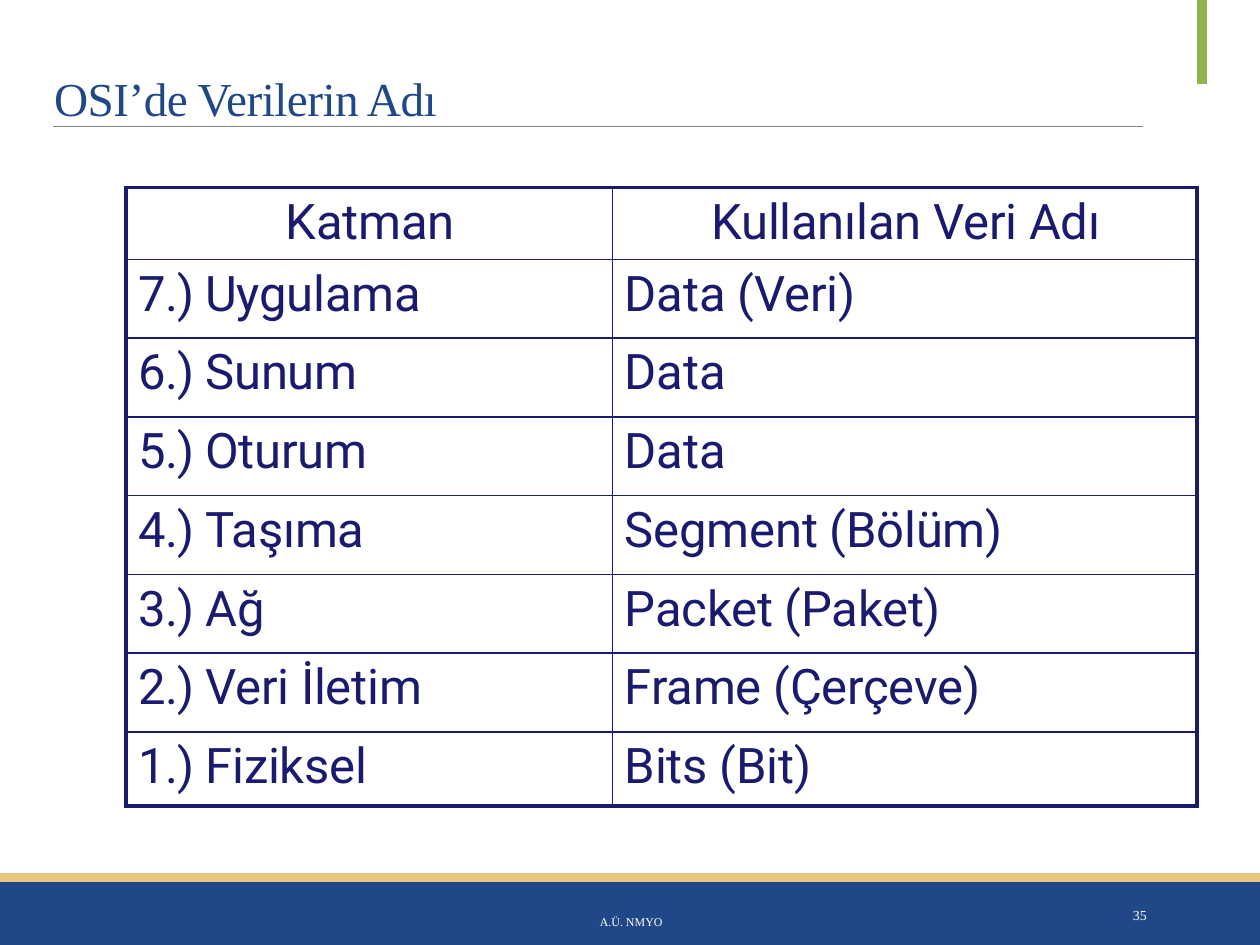
from lxml import etree
from pptx import Presentation
from pptx.dml.color import RGBColor
from pptx.enum.shapes import MSO_CONNECTOR, MSO_SHAPE
from pptx.enum.text import MSO_ANCHOR, MSO_AUTO_SIZE, PP_ALIGN
from pptx.oxml.ns import qn
from pptx.util import Inches, Pt

LEFT, CENTER, RIGHT = PP_ALIGN.LEFT, PP_ALIGN.CENTER, PP_ALIGN.RIGHT
TOP, MIDDLE, BOTTOM = MSO_ANCHOR.TOP, MSO_ANCHOR.MIDDLE, MSO_ANCHOR.BOTTOM
RECTANGLE, STRAIGHT = MSO_SHAPE.RECTANGLE, MSO_CONNECTOR.STRAIGHT
NO_AUTO_SIZE = MSO_AUTO_SIZE.NONE
TITLE_ONLY_LAYOUT = 5

SERIF, SANS = "Times New Roman", "Roboto"
BLUE, GOLD, GREEN, GRAY = "204788", "E5C77D", "90B54D", "808080"
NAVY, WHITE = "1A1A6F", "FFFFFF"
THICK, THIN = 2.25, 1

HEADINGS = ("Katman", "Kullanılan Veri Adı")
LAYERS = (
    ("7.) ", "Uygulama", "Data (Veri)"),
    ("6.) ", "Sunum", "Data"),
    ("5.) ", "Oturum", "Data"),
    ("4.) ", "Taşıma", "Segment (Bölüm)"),
    ("3.) ", "Ağ", "Packet (Paket)"),
    ("2.) ", "Veri İletim", "Frame (Çerçeve)"),
    ("1.) ", "Fiziksel", "Bits (Bit)"),
)


def color(value):
    """Return the colour for a hex string."""
    return RGBColor.from_string(value)


def add_text(paragraph, text, *, size, font, fill, spacing=0, align=LEFT, before=0, line=None):
    """Append a formatted run to a paragraph and set the paragraph's layout."""
    paragraph.alignment = align
    paragraph.space_before = Pt(before)
    if line:
        paragraph.line_spacing = Pt(line)
    run = paragraph.add_run()
    run.text = text
    run.font.size = Pt(size)
    run.font.name = font
    run.font.color.rgb = color(fill)
    if spacing:
        run.font._element.set("spc", str(round(spacing * 100)))


def set_box(shape, box, anchor, margins):
    """Place a text shape and set its frame."""
    shape.left, shape.top, shape.width, shape.height = map(Inches, box)
    frame = shape.text_frame
    frame.word_wrap = True
    frame.auto_size = NO_AUTO_SIZE
    frame.vertical_anchor = anchor
    frame.margin_left, frame.margin_top, frame.margin_right, frame.margin_bottom = map(Inches, margins)
    return frame.paragraphs[0]


def add_band(slide, box, fill):
    """Add a plain filled rectangle."""
    band = slide.shapes.add_shape(RECTANGLE, *map(Inches, box))
    band.shadow.inherit = False
    band.fill.solid()
    band.fill.fore_color.rgb = color(fill)
    band.line.fill.background()


def add_rule(slide, start, end, fill, width):
    """Add a straight line without a shadow."""
    rule = slide.shapes.add_connector(STRAIGHT, *map(Inches, start + end))
    rule.line.color.rgb = color(fill)
    rule.line.width = Pt(width)
    etree.SubElement(rule._element.spPr, qn("a:effectLst"))


def add_heading(slide, box, title):
    """Fill the title placeholder and draw the rule under it and the corner accent."""
    left, top, width, height = box
    add_rule(slide, (left, top + height), (9.07, top + height), GRAY, 0.5)
    add_rule(slide, (9.54, 0), (9.54, 0.67), GREEN, 6)
    paragraph = set_box(slide.shapes.title, box, BOTTOM, (0.01, 0.01, 0, 0))
    add_text(paragraph, title, size=27, font=SERIF, fill=BLUE, spacing=-0.3, before=1)


def add_footer(slide, box, label, number):
    """Draw the footer bands with the label and the page number."""
    left, top, width, height = box
    add_band(slide, box, BLUE)
    add_band(slide, (left, top - 0.07, width, 0.07), GOLD)
    label_box = slide.shapes.add_textbox(0, 0, 0, 0)
    paragraph = set_box(label_box, (left + 3.03, top + 0.07, 3.96, 0.4), MIDDLE, (0, 0, 0, 0))
    add_text(paragraph, label, size=6.8, font=SERIF, fill=WHITE, align=CENTER, line=14.2)
    number_box = slide.shapes.add_textbox(0, 0, 0, 0)
    paragraph = set_box(number_box, (left + 8.12, top + 0.06, 1.08, 0.4), MIDDLE, (0.1, 0.05, 0.1, 0.05))
    add_text(paragraph, number, size=7.9, font=SERIF, fill=WHITE, align=RIGHT)


def set_borders(cell, widths):
    """Draw the left, right, top and bottom borders of a cell; zero means none."""
    properties = cell._tc.get_or_add_tcPr()
    for position, (side, width) in enumerate(zip(("lnL", "lnR", "lnT", "lnB"), widths)):
        border = etree.Element(qn(f"a:{side}"), w=str(Pt(width)))
        if width:
            fill = etree.SubElement(border, qn("a:solidFill"))
            etree.SubElement(fill, qn("a:srgbClr"), val=NAVY)
        else:
            etree.SubElement(border, qn("a:noFill"))
        properties.insert(position, border)


def set_spacer_row(table, height):
    """Merge the first row into a thin strip that carries the table's top edge."""
    table.rows[0].height = Inches(height)
    for cell in table.rows[0].cells:
        cell.fill.background()
        cell.margin_left = cell.margin_top = cell.margin_right = cell.margin_bottom = 0
        etree.SubElement(cell.text_frame.paragraphs[0]._p, qn("a:endParaRPr"), sz="100")
        set_borders(cell, (0, 0, 0, THICK))
    table.cell(0, 0).merge(table.cell(0, len(HEADINGS) - 1))


def add_layer_table(slide, box):
    """Add the table of layers and their data names."""
    row_count, column_count = len(LAYERS) + 2, len(HEADINGS)
    table = slide.shapes.add_table(row_count, column_count, *map(Inches, box)).table
    table.horz_banding = table.first_row = False
    table.columns[0].width = Inches(3.86)
    table.columns[1].width = Inches(box[2] - 3.86)
    spacer_height, header_height, last_height = 0.07, 0.57, 0.59
    body_count = len(LAYERS) - 1
    body_height = (box[3] - spacer_height - header_height - last_height) / body_count
    heights = [header_height] + [body_height] * body_count + [last_height]
    rows = [[(heading,) for heading in HEADINGS]]
    rows += [[(number, layer), (data,)] for number, layer, data in LAYERS]
    set_spacer_row(table, spacer_height)

    for row_index, (row, height) in enumerate(zip(rows, heights), start=1):
        table.rows[row_index].height = Inches(height)
        is_header = row_index == 1
        for column_index, parts in enumerate(row):
            cell = table.cell(row_index, column_index)
            cell.fill.background()
            cell.vertical_anchor = TOP
            cell.margin_left = Inches(0.02 if is_header else 0.1)
            cell.margin_top = Inches(0.05)
            cell.margin_right = cell.margin_bottom = 0
            for part in parts:
                add_text(
                    cell.text_frame.paragraphs[0], part, size=28, font=SANS, fill=NAVY,
                    spacing=-0.5 if part.endswith(") ") else -0.1,
                    align=CENTER if is_header else LEFT, before=3.5,
                )
            outer_sides = (
                column_index == 0, column_index == column_count - 1,
                is_header, row_index == row_count - 1,
            )
            set_borders(cell, [THICK if outer else THIN for outer in outer_sides])


def main():
    """Build and save the presentation."""
    presentation = Presentation()
    presentation.slide_width, presentation.slide_height = Inches(10), Inches(7.5)
    slide = presentation.slides.add_slide(presentation.slide_layouts[TITLE_ONLY_LAYOUT])
    add_footer(slide, (0, 7, 10, 0.5), "A.Ü. NMYO", "35")
    add_heading(slide, (0.42, 0.31, 9.17, 0.69), "OSI’de Verilerin Adı")
    add_layer_table(slide, (1, 1.42, 8.5, 4.98))
    presentation.save("out.pptx")


if __name__ == "__main__":
    main()
